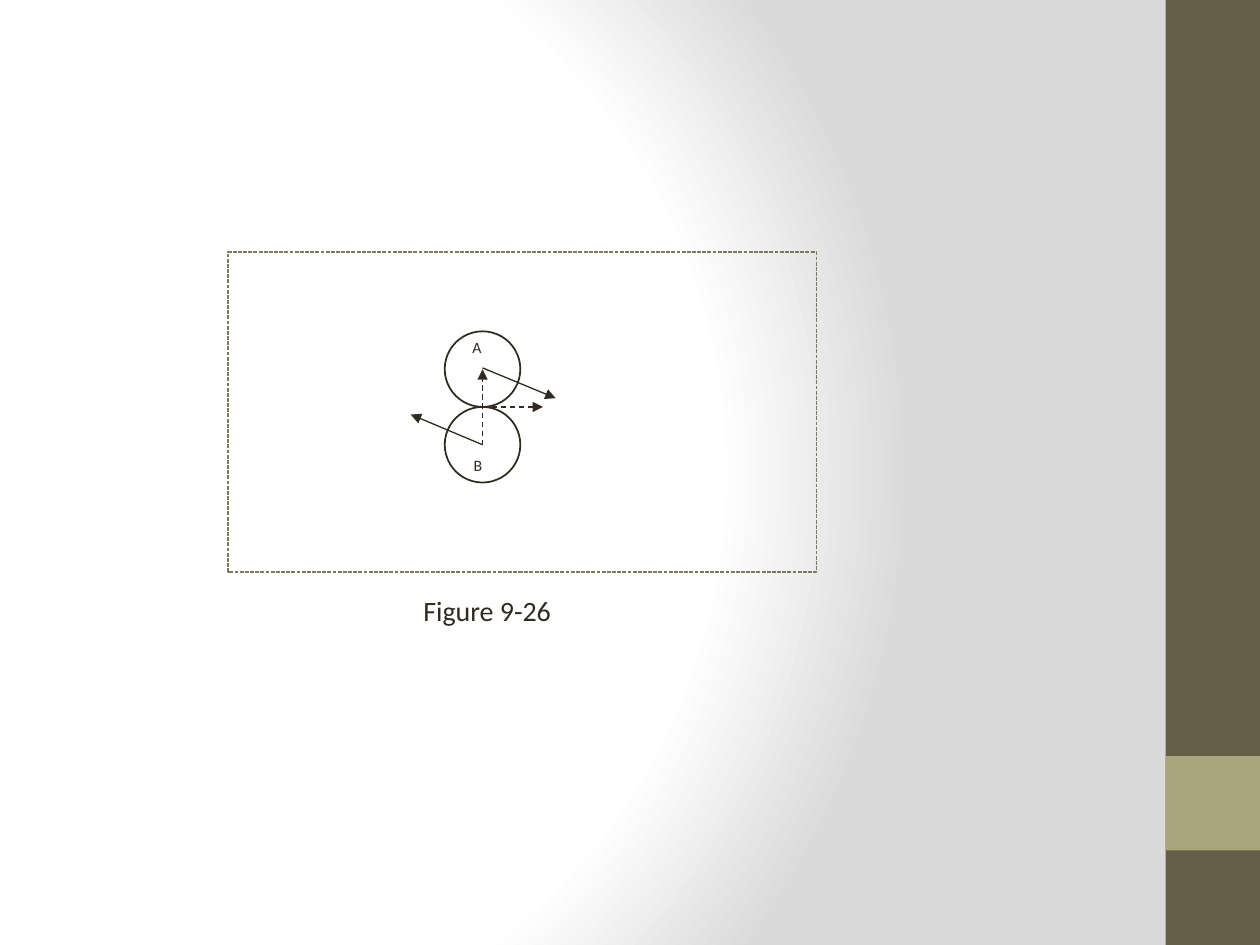
"""Build the slide for Figure 9-26: two touching circles with direction arrows."""
import lxml.etree
import pptx
import pptx.dml.color
import pptx.enum.dml
import pptx.enum.shapes
import pptx.enum.text
import pptx.oxml
import pptx.oxml.ns
import pptx.util
from pptx.util import Inches

INK = pptx.dml.color.RGBColor(0x2F, 0x2B, 0x20)
FRAME = pptx.dml.color.RGBColor(0x7D, 0x7A, 0x5C)
BAND = pptx.dml.color.RGBColor(0x67, 0x5E, 0x47)
ACCENT = pptx.dml.color.RGBColor(0xA9, 0xA5, 0x7C)
SHAPES = pptx.enum.shapes.MSO_SHAPE
DASHES = pptx.enum.dml.MSO_LINE
qn = pptx.oxml.ns.qn

BACKDROP = """
<a:gradFill xmlns:a="http://schemas.openxmlformats.org/drawingml/2006/main" rotWithShape="1">
  <a:gsLst>
    <a:gs pos="0"><a:srgbClr val="FFFFFF"/></a:gs>
    <a:gs pos="75000"><a:srgbClr val="FFFFFF"/></a:gs>
    <a:gs pos="100000"><a:srgbClr val="DADADA"/></a:gs>
  </a:gsLst>
  <a:path path="circle"><a:fillToRect l="20000" t="50000" r="100000" b="50000"/></a:path>
</a:gradFill>"""


def add_label(text, left, top, width, height, size, wrap):
    label = slide.shapes.add_textbox(Inches(left), Inches(top), Inches(width), Inches(height))
    frame = label.text_frame
    frame.margin_left = frame.margin_right = 0
    frame.margin_top = frame.margin_bottom = Inches(0.05)
    frame.word_wrap = wrap
    frame.auto_size = pptx.enum.text.MSO_AUTO_SIZE.SHAPE_TO_FIT_TEXT
    frame.text = text
    font = frame.paragraphs[0].runs[0].font
    font.name = "Calibri"
    font.size = pptx.util.Pt(size)
    font.color.rgb = INK


def add_arrow(start, end, dashed):
    arrow = slide.shapes.add_connector(
        pptx.enum.shapes.MSO_CONNECTOR.STRAIGHT,
        *[Inches(value) for value in start + end])
    arrow.line.color.rgb = INK
    arrow.line.width = pptx.util.Pt(0.75)
    if dashed:
        arrow.line.dash_style = DASHES.DASH
    properties = arrow._element.spPr
    lxml.etree.SubElement(properties.find(qn("a:ln")), qn("a:tailEnd"), type="triangle")
    lxml.etree.SubElement(properties, qn("a:effectLst"))


prs = pptx.Presentation()
prs.slide_width = Inches(10)
prs.slide_height = Inches(7.5)
slide = prs.slides.add_slide(prs.slide_layouts[6])

slide.background.fill.gradient()
default_gradient = slide._element.find(".//" + qn("a:gradFill"))
default_gradient.getparent().replace(default_gradient, pptx.oxml.parse_xml(BACKDROP))

for top, height, color in [(0, 7.5, BAND), (6, 0.75, ACCENT)]:
    band = slide.shapes.add_shape(
        SHAPES.RECTANGLE, Inches(9.25), Inches(top), Inches(0.75), Inches(height))
    band.shadow.inherit = False
    band.fill.solid()
    band.fill.fore_color.rgb = color
    band.line.fill.background()

outlines = [
    (SHAPES.RECTANGLE, 1.81, 2, 4.67, 2.54, FRAME, 0.75, DASHES.SQUARE_DOT),
    (SHAPES.OVAL, 3.53, 2.63, 0.6, 0.6, INK, 1, None),
    (SHAPES.OVAL, 3.53, 3.23, 0.6, 0.6, INK, 1, None),
]
for kind, left, top, width, height, color, weight, dash in outlines:
    outline = slide.shapes.add_shape(
        kind, Inches(left), Inches(top), Inches(width), Inches(height))
    outline.shadow.inherit = False
    outline.fill.background()
    outline.line.color.rgb = color
    outline.line.width = pptx.util.Pt(weight)
    outline.line.dash_style = dash

add_label("Figure 9-26", 3.36, 4.66, 2.32, 0.37, 16, True)
add_label("A", 3.75, 2.63, 0.07, 0.25, 9, False)
add_label("B", 3.76, 3.57, 0.07, 0.25, 9, False)

add_arrow((3.83, 3.53), (3.83, 2.93), True)
add_arrow((3.83, 2.92), (4.41, 3.16), False)
add_arrow((3.83, 3.23), (4.31, 3.23), True)
add_arrow((3.83, 3.53), (3.26, 3.29), False)

prs.save("out.pptx")
